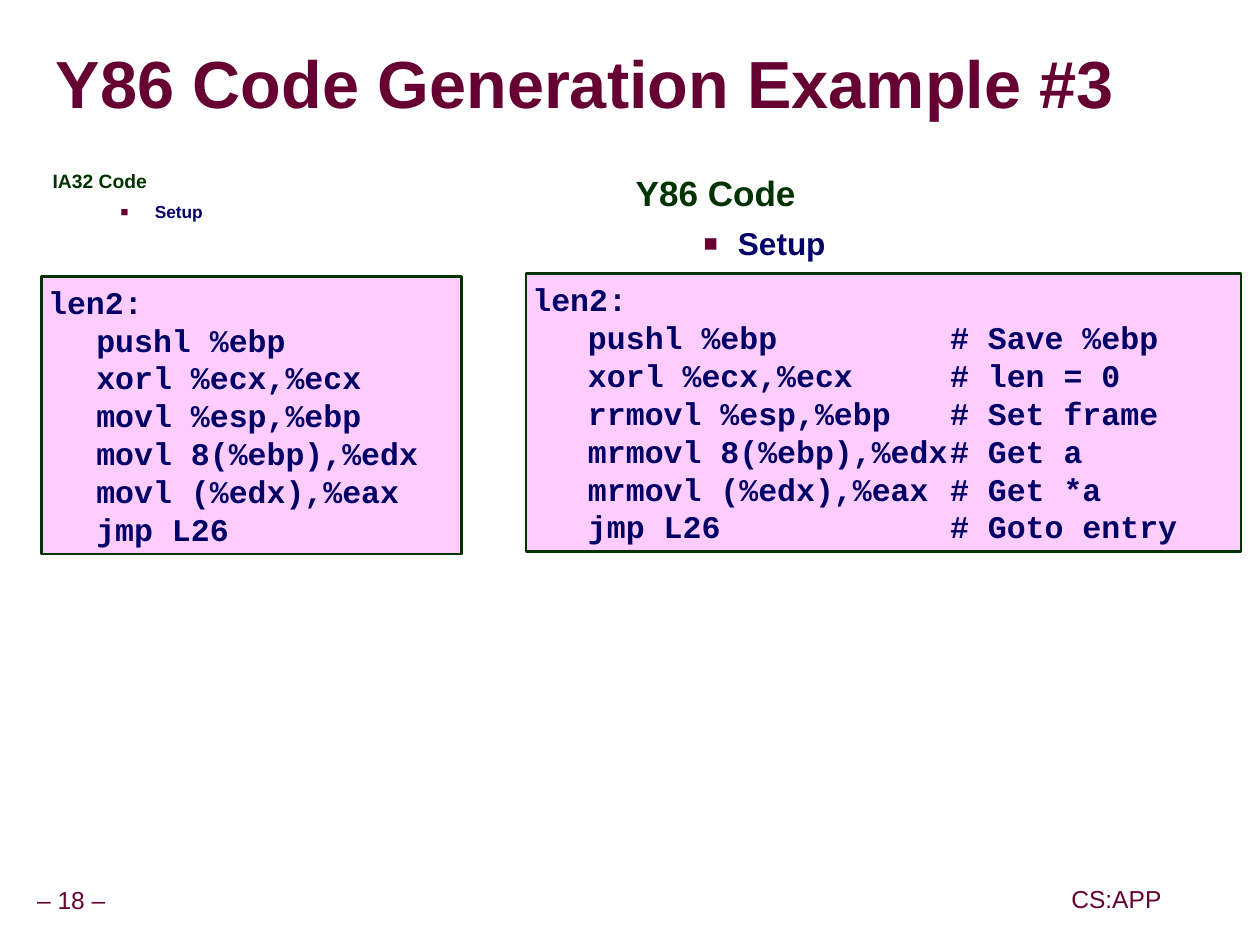
from lxml.etree import SubElement
from pptx import Presentation
from pptx.dml.color import RGBColor
from pptx.enum.shapes import MSO_SHAPE
from pptx.enum.text import MSO_ANCHOR, PP_ALIGN
from pptx.oxml.ns import qn
from pptx.util import Cm, Pt

MAROON = RGBColor(0x66, 0x00, 0x33)
GREEN = RGBColor(0x00, 0x33, 0x00)
NAVY = RGBColor(0x00, 0x00, 0x66)
PINK = RGBColor(0xFF, 0xCC, 0xFF)
SHADOW_GREY = "969696"

TITLE = "Y86 Code Generation Example #3"

# Places are left, top, width, height in centimetres.
FOOTERS = [
    ("– 18 –", (-0.23, 17.75, 3.33, 0.79)),
    ("CS:APP", (21.44, 17.73, 2.08, 0.79)),
]

# heading, item, place, heading size, item size, heading line spacing
HEADINGS = [
    ("IA32 Code", "Setup", (0.81, 3.38, 11.3, 1.27), 11, 9.9, 0.75),
    ("Y86 Code", "Setup", (12.55, 3.38, 11.3, 14.48), 20, 18, 0.95),
]

IA32_CODE = [
    ("len2:",),
    ("", "pushl %ebp"),
    ("", "xorl %ecx,%ecx"),
    ("", "movl %esp,%ebp"),
    ("", "movl 8(%ebp),%edx"),
    ("", "movl (%edx),%eax"),
    ("", "jmp L26"),
]
Y86_CODE = [
    ("len2:",),
    ("", "pushl %ebp", "# Save %ebp"),
    ("", "xorl %ecx,%ecx", "# len = 0"),
    ("", "rrmovl %esp,%ebp", "# Set frame"),
    ("", "mrmovl 8(%ebp),%edx", "# Get a"),
    ("", "mrmovl (%edx),%eax", "# Get *a"),
    ("", "jmp L26", "# Goto entry"),
]
# lines, place, tab stops in centimetres
LISTINGS = [
    (IA32_CODE, (0.84, 5.56, 8.46, 5.59), [0.97]),
    (Y86_CODE, (10.59, 5.51, 14.4, 5.59), [1.12, 8.41]),
]


def lengths(place):
    return [Cm(value) for value in place]


def set_frame(frame, anchor, side, edge, wrap=True):
    frame.word_wrap = wrap
    frame.vertical_anchor = anchor
    frame.margin_left = frame.margin_right = Cm(side)
    frame.margin_top = frame.margin_bottom = Cm(edge)


def set_font(para, name, size, color, bold=True):
    for span in para.runs:
        span.font.name = name
        span.font.size = Pt(size)
        span.font.bold = bold
        span.font.color.rgb = color


def add_bullet(para):
    properties = para._p.get_or_add_pPr()
    properties.set("marL", str(Cm(2.06)))
    properties.set("indent", str(Cm(-0.69)))
    color = SubElement(properties, qn("a:buClr"))
    SubElement(color, qn("a:srgbClr"), val=str(MAROON))
    SubElement(properties, qn("a:buSzPct"), val="75000")
    SubElement(properties, qn("a:buFont"), typeface="Arial")
    SubElement(properties, qn("a:buChar"), char="■")


def add_tabs(para, stops):
    tabs = SubElement(para._p.get_or_add_pPr(), qn("a:tabLst"))
    for stop in stops:
        SubElement(tabs, qn("a:tab"), pos=str(Cm(stop)), algn="l")


def add_text_shadow(span):
    effects = SubElement(span._r.get_or_add_rPr(), qn("a:effectLst"))
    shadow = SubElement(effects, qn("a:outerShdw"), dist=str(Cm(0.14)), dir="2700000")
    SubElement(shadow, qn("a:srgbClr"), val=SHADOW_GREY)
    # Effects stand before the typeface in run properties.
    span._r.rPr.find(qn("a:latin")).addprevious(effects)


def format_title(title):
    title.left, title.top, title.width, title.height = lengths((1.12, 0.69, 24.18, 2.16))
    title.text_frame.text = TITLE
    set_frame(title.text_frame, MSO_ANCHOR.MIDDLE, 0, 0)
    para = title.text_frame.paragraphs[0]
    para.alignment = PP_ALIGN.LEFT
    para.line_spacing = 0.87
    set_font(para, "Arial", 38, MAROON)
    add_text_shadow(para.runs[0])


def add_footer(page, text, place):
    box = page.shapes.add_textbox(*lengths(place))
    box.text_frame.text = text
    set_frame(box.text_frame, MSO_ANCHOR.MIDDLE, 0.13, 0.13, wrap=False)
    para = box.text_frame.paragraphs[0]
    para.alignment = PP_ALIGN.CENTER
    para.line_spacing = 0.9
    set_font(para, "Arial", 14, MAROON, bold=False)


def add_heading(page, heading, item, place, heading_size, item_size, spacing):
    box = page.shapes.add_textbox(*lengths(place))
    box.text_frame.text = f"{heading}\n{item}"
    set_frame(box.text_frame, MSO_ANCHOR.TOP, 0.25, 0.13)
    heading_para, item_para = box.text_frame.paragraphs
    heading_para.line_spacing = spacing
    set_font(heading_para, "Arial", heading_size, GREEN)
    item_para.level = 1
    item_para.space_before = Pt(5.6)
    add_bullet(item_para)
    set_font(item_para, "Arial", item_size, NAVY)


def add_listing(page, lines, place, stops):
    box = page.shapes.add_shape(MSO_SHAPE.RECTANGLE, *lengths(place))
    box.shadow.inherit = False
    box.fill.solid()
    box.fill.fore_color.rgb = PINK
    box.line.color.rgb = GREEN
    box.line.width = Pt(1.5)
    box.text_frame.text = "\n".join("\t".join(line) for line in lines)
    set_frame(box.text_frame, MSO_ANCHOR.TOP, 0.13, 0.13)
    for para in box.text_frame.paragraphs:
        para.alignment = PP_ALIGN.LEFT
        add_tabs(para, stops)
        set_font(para, "Courier New", 18, NAVY)


def main():
    deck = Presentation()
    deck.slide_width, deck.slide_height = Cm(25.37), Cm(19.02)
    page = deck.slides.add_slide(deck.slide_layouts[5])
    format_title(page.shapes.title)
    for footer in FOOTERS:
        add_footer(page, *footer)
    for heading in HEADINGS:
        add_heading(page, *heading)
    for listing in LISTINGS:
        add_listing(page, *listing)
    deck.save("out.pptx")


if __name__ == "__main__":
    main()
